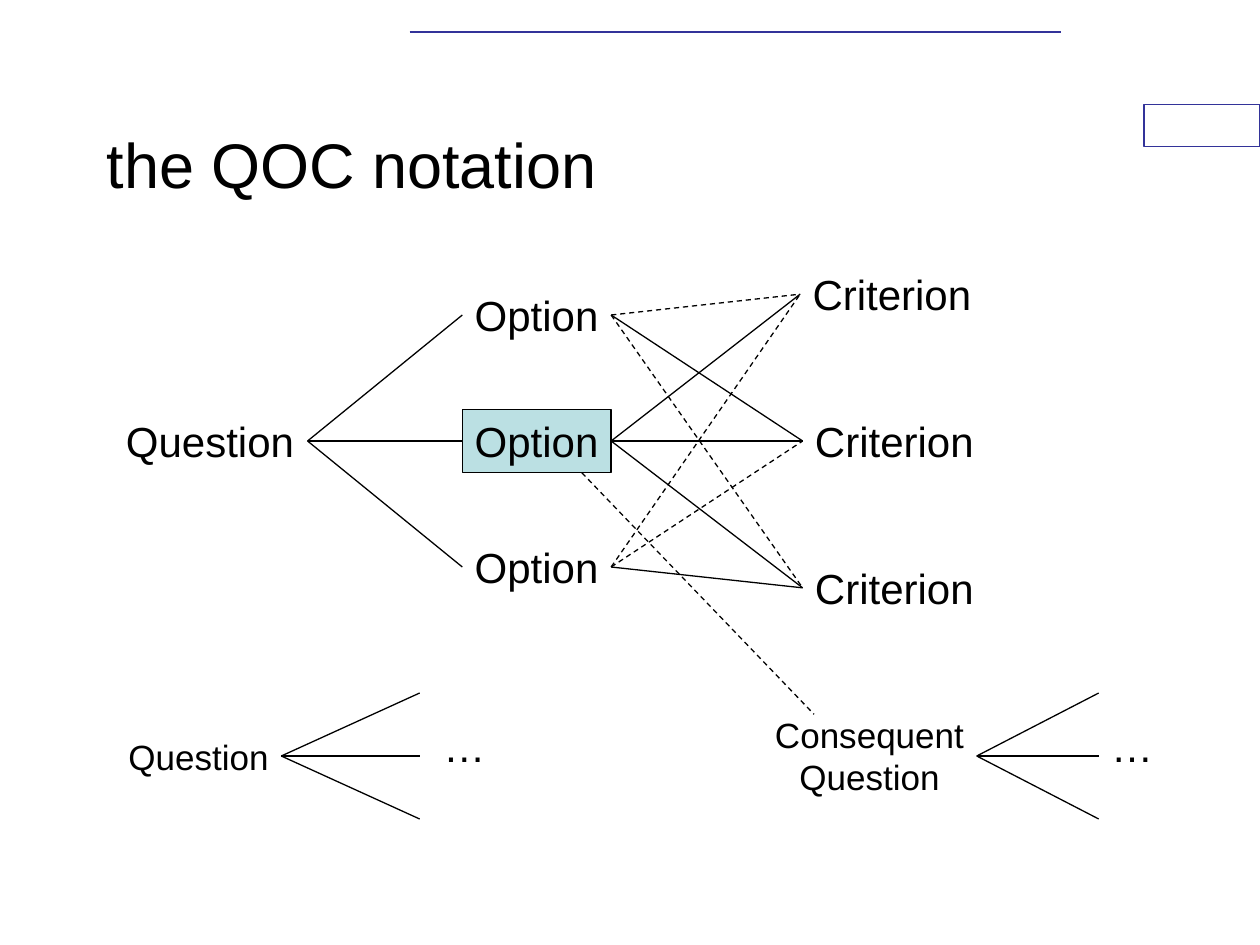
import pptx
import pptx.dml.color
import pptx.enum.dml
import pptx.enum.shapes
import pptx.enum.text
import pptx.oxml.ns
import pptx.util
from lxml import etree

Cm = pptx.util.Cm
ANCHOR = pptx.enum.text.MSO_ANCHOR
AUTO_SIZE = pptx.enum.text.MSO_AUTO_SIZE
ALIGN = pptx.enum.text.PP_ALIGN

BLACK = "000000"
NAVY = "333399"
LEFT, RIGHT = 1, 3
MAIN_Y, LOWER_Y = 8.89, 15.24
SUPPORTED = {(0, 1), (1, 0), (1, 1), (1, 2), (2, 2)}


def rgb(color):
    return pptx.dml.color.RGBColor.from_string(color)


def paint(s, fill, line):
    s.fill.solid()
    s.fill.fore_color.rgb = rgb(fill)
    s.line.color.rgb = rgb(line)
    s.line.width = pptx.util.Pt(0.75)


def add_text(slide, text, x, y, w, h, size=24, align=ALIGN.LEFT,
             wrap=False, anchor=ANCHOR.TOP):
    """Add a text box whose left edge is x and whose vertical middle is y."""
    s = slide.shapes.add_textbox(Cm(x), Cm(y - h / 2), Cm(w), Cm(h))
    tf = s.text_frame
    tf.word_wrap = wrap
    tf.auto_size = AUTO_SIZE.NONE if wrap else AUTO_SIZE.SHAPE_TO_FIT_TEXT
    tf.vertical_anchor = anchor
    p = tf.paragraphs[0]
    p.text = text
    p.alignment = align
    for r in p.runs:
        r.font.name = "Arial"
        r.font.size = pptx.util.Pt(size)
        r.font.color.rgb = rgb(BLACK)
    return s


def add_line(slide, x1, y1, x2, y2, color=BLACK, width=0.75, dashed=False):
    s = slide.shapes.add_connector(pptx.enum.shapes.MSO_CONNECTOR.STRAIGHT,
                                   Cm(x1), Cm(y1), Cm(x2), Cm(y2))
    s.line.color.rgb = rgb(color)
    s.line.width = pptx.util.Pt(width)
    if dashed:
        s.line.dash_style = pptx.enum.dml.MSO_LINE.DASH
    etree.SubElement(s._element.spPr, pptx.oxml.ns.qn("a:effectLst"))
    return s


def link(slide, start, end, dashed=False):
    """Join the right side of one box to the left side of another."""
    s = add_line(slide, 0, 0, 1, 1, dashed=dashed)
    s.begin_connect(start, RIGHT)
    s.end_connect(end, LEFT)


def add_fan(slide, question, end_x, dots_x):
    """Draw three open branches from a question, followed by an ellipsis."""
    for dy in (-1.27, 0, 1.27):
        s = add_line(slide, 0, 0, end_x, LOWER_Y + dy)
        s.begin_connect(question, RIGHT)
    add_text(slide, "…", dots_x, 15.04, 1.35, 1.27)


def add_header(slide):
    s = slide.shapes.add_shape(pptx.enum.shapes.MSO_SHAPE.RECTANGLE,
                               Cm(23.06), Cm(2.11), Cm(2.34), Cm(0.84))
    s.shadow.inherit = False
    paint(s, "FFFFFF", NAVY)
    add_line(slide, 8.26, 0.64, 21.39, 0.64, color=NAVY, width=1)
    add_text(slide, "the QOC notation", 1.9, 3.29, 19.05, 3.18, size=36,
             wrap=True, anchor=ANCHOR.MIDDLE)


def add_main_diagram(slide):
    question = add_text(slide, "Question", 2.29, MAIN_Y, 3.91, 1.27)
    options = [add_text(slide, "Option", 9.32, MAIN_Y + i * 2.54, 3, 1.27)
               for i in (-1, 0, 1)]
    paint(options[1], "BBE0E3", BLACK)
    criteria = [add_text(slide, "Criterion", x, MAIN_Y + i * 2.96, 3.71, 1.27)
                for i, x in ((-1, 16.13), (0, 16.18), (1, 16.18))]
    for i, option in enumerate(options):
        link(slide, question, option)
        for j, criterion in enumerate(criteria):
            link(slide, option, criterion, dashed=(i, j) not in SUPPORTED)


def add_lower_questions(slide):
    question = add_text(slide, "Question", 2.34, LOWER_Y, 3.33, 1.09, size=20)
    add_fan(slide, question, 8.46, 8.69)
    consequent = add_text(slide, "Consequent\nQuestion", 15.37, LOWER_Y, 4.32,
                          1.96, size=20, align=ALIGN.CENTER)
    add_fan(slide, consequent, 22.15, 22.15)
    add_line(slide, 11.73, 9.53, 16.41, 14.4, dashed=True)


def main():
    prs = pptx.Presentation()
    prs.slide_width, prs.slide_height = Cm(25.4), Cm(19.05)
    slide = prs.slides.add_slide(prs.slide_layouts[6])
    add_header(slide)
    add_main_diagram(slide)
    add_lower_questions(slide)
    prs.save("out.pptx")


if __name__ == "__main__":
    main()
